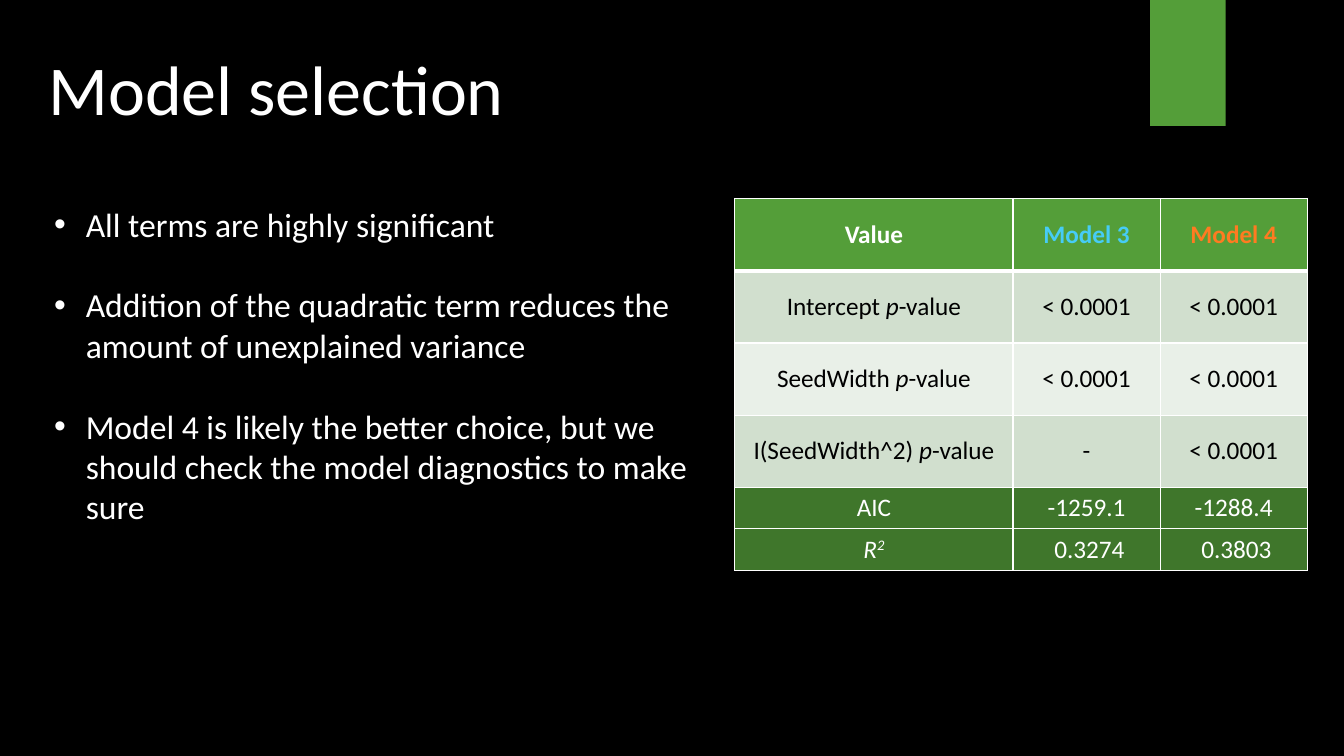
from lxml import etree
from pptx import Presentation
from pptx.dml.color import RGBColor
from pptx.enum.shapes import MSO_SHAPE
from pptx.enum.text import MSO_ANCHOR, MSO_AUTO_SIZE, PP_ALIGN
from pptx.oxml import parse_xml
from pptx.oxml.ns import nsdecls, qn
from pptx.util import Pt

RECT = MSO_SHAPE.RECTANGLE
TOP, MIDDLE = MSO_ANCHOR.TOP, MSO_ANCHOR.MIDDLE
FIXED = MSO_AUTO_SIZE.NONE
LEFT, CENTER = PP_ALIGN.LEFT, PP_ALIGN.CENTER

FONT = "Calibri"
WHITE, BLACK = "FFFFFF", "000000"
GREEN, DARK = "549E39", "3F762B"
BAND, PALE = "D1DFCE", "E9F0E8"
BLUE, ORANGE = "46CCF6", "FF7B21"

POINTS = [
    "All terms are highly significant",
    "Addition of the quadratic term reduces the amount of unexplained variance",
    "Model 4 is likely the better choice, but we should check the model "
    "diagnostics to make sure",
]
HEAD = [("Value", WHITE), ("Model 3", BLUE), ("Model 4", ORANGE)]
TERMS = [
    ("Intercept ", "< 0.0001", "< 0.0001"),
    ("SeedWidth ", "< 0.0001", "< 0.0001"),
    ("I(SeedWidth^2) ", "-", "< 0.0001"),
]
COLS = [198.7, 105.1, 105.1]
TALL, SHORT = 51.6, 29.6


def color(code):
    return RGBColor.from_string(code)


def paint(fill, code):
    fill.solid()
    fill.fore_color.rgb = color(code)


def add_run(para, text, size, code=WHITE, bold=False, slant=False):
    run = para.add_run()
    run.text = text
    font = run.font
    font.name, font.size = FONT, Pt(size)
    font.bold, font.italic = bold, slant
    font.color.rgb = color(code)
    return run


def add_bar(slide, x, y, w, h):
    bar = slide.shapes.add_shape(RECT, Pt(x), Pt(y), Pt(w), Pt(h))
    bar.shadow.inherit = False
    paint(bar.fill, GREEN)
    bar.line.fill.background()


def add_title(slide, x, y, w, h):
    title = slide.shapes.title
    title.left, title.top, title.width, title.height = Pt(x), Pt(y), Pt(w), Pt(h)
    frame = title.text_frame
    frame.auto_size = FIXED
    frame.word_wrap = True
    frame.vertical_anchor = TOP
    para = frame.paragraphs[0]
    para.alignment = LEFT
    add_run(para, "Model selection", 50)


def add_list(slide, x, y, w, h):
    frame = slide.shapes.add_textbox(Pt(x), Pt(y), Pt(w), Pt(h)).text_frame
    frame.word_wrap = True
    for i, text in enumerate(POINTS):
        para = frame.paragraphs[0] if i == 0 else frame.add_paragraph()
        if i:
            para.space_before = Pt(29)
        add_run(para, text, 24)
        props = para._p.get_or_add_pPr()
        props.set("marL", str(Pt(22.5)))
        props.set("indent", str(-Pt(22.5)))
        etree.SubElement(props, qn("a:buFont")).set("typeface", "Arial")
        etree.SubElement(props, qn("a:buChar")).set("char", "•")


def add_edges(cell, base):
    props = cell._tc.get_or_add_tcPr()
    for i, (side, wide) in enumerate([("L", 1), ("R", 1), ("T", 1), ("B", base)]):
        props.insert(i, parse_xml(
            f'<a:ln{side} {nsdecls("a")} w="{Pt(wide)}"><a:solidFill>'
            f'<a:srgbClr val="{WHITE}"/></a:solidFill></a:ln{side}>'))


def style_cell(cell, fill, base=1):
    paint(cell.fill, fill)
    cell.vertical_anchor = MIDDLE
    add_edges(cell, base)
    para = cell.text_frame.paragraphs[0]
    para.alignment = CENTER
    return para


def add_row(table, row, fill, code, values):
    paras = [style_cell(cell, fill) for cell in table.rows[row].cells]
    for para, value in zip(paras[1:], values):
        add_run(para, value, 18, code)
    return paras[0]


def add_grid(slide, x, y):
    rows = [TALL] * 4 + [SHORT] * 2
    table = slide.shapes.add_table(
        len(rows), len(COLS), Pt(x), Pt(y), Pt(sum(COLS)), Pt(sum(rows))).table
    table.horz_banding = False
    for col, wide in zip(table.columns, COLS):
        col.width = Pt(wide)
    for row, high in zip(table.rows, rows):
        row.height = Pt(high)
    for cell, (text, code) in zip(table.rows[0].cells, HEAD):
        add_run(style_cell(cell, GREEN, 3), text, 18, code, bold=True)
    for i, (term, *values) in enumerate(TERMS, 1):
        para = add_row(table, i, BAND if i % 2 else PALE, BLACK, values)
        add_run(para, term, 18, BLACK)
        add_run(para, "p", 18, BLACK, slant=True)
        add_run(para, "-value", 18, BLACK)
    para = add_row(table, 4, DARK, WHITE, ["-1259.1", "-1288.4"])
    add_run(para, "AIC", 18)
    para = add_row(table, 5, DARK, WHITE, [" 0.3274", " 0.3803"])
    add_run(para, "R", 18, slant=True)
    power = add_run(para, "2", 18, slant=True)
    power.font._element.set("baseline", "30000")


def main():
    deck = Presentation()
    deck.slide_width, deck.slide_height = Pt(960), Pt(540)
    slide = deck.slides.add_slide(deck.slide_layouts[5])
    paint(slide.background.fill, BLACK)
    add_bar(slide, 821.5, 0, 54, 90)
    add_grid(slide, 524.9, 141.8)
    add_title(slide, 27.4, 28.8, 677.5, 67.7)
    add_list(slide, 31.7, 141.8, 477.4, 239.8)
    deck.save("out.pptx")


if __name__ == "__main__":
    main()
